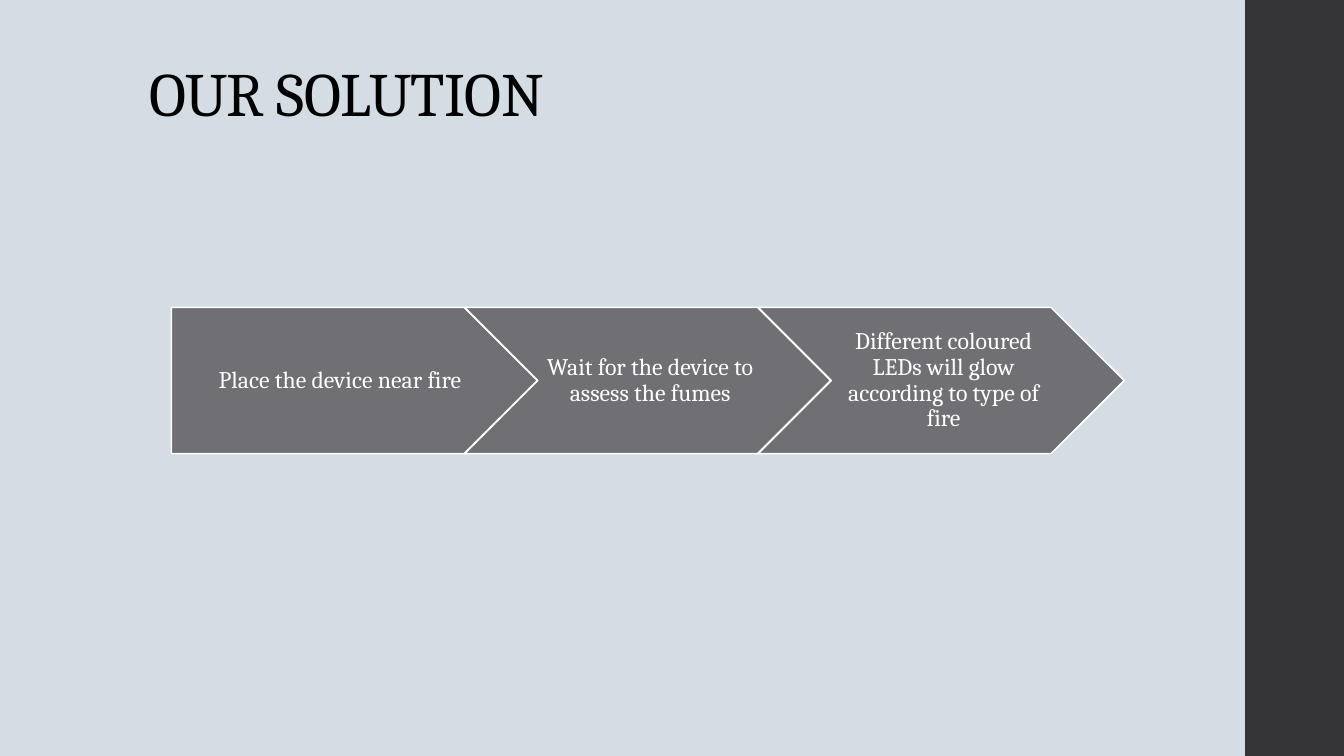
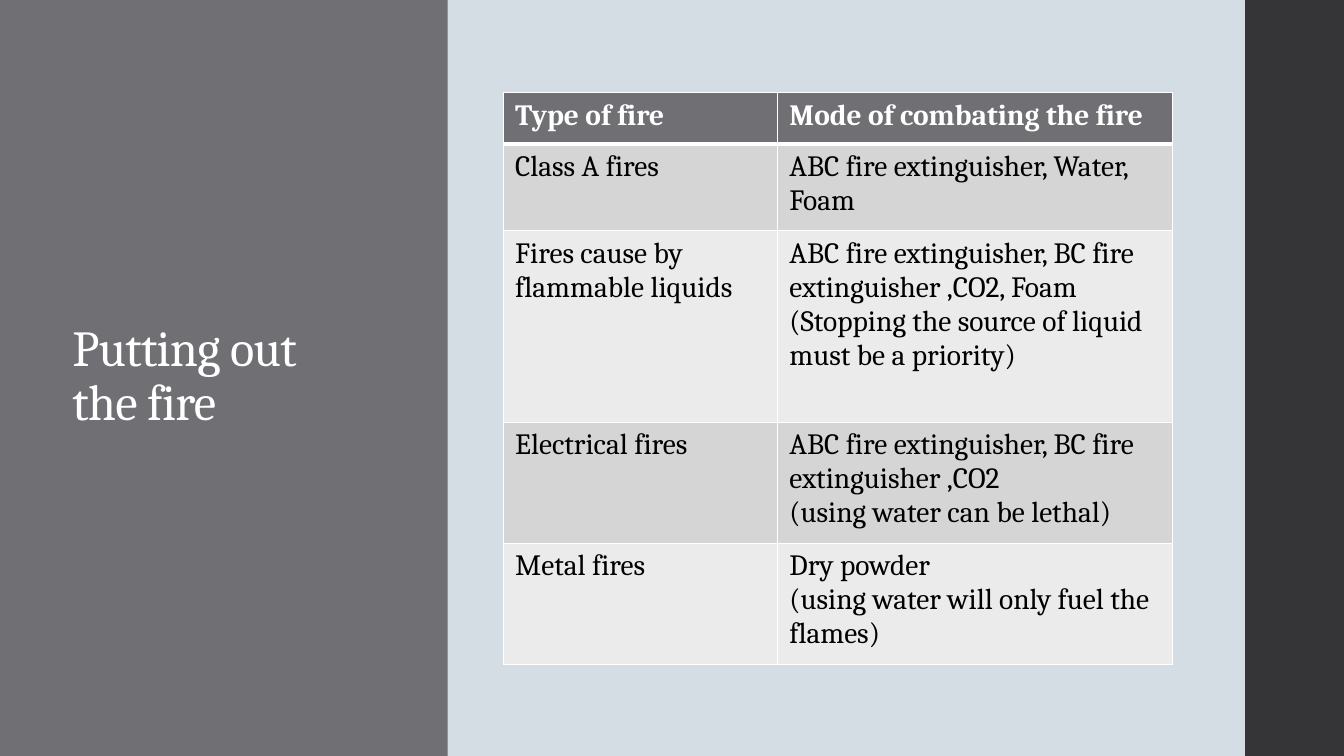
from lxml import etree
from pptx import Presentation
from pptx import util as u
from pptx.dml.color import RGBColor
from pptx.enum import shapes, text
from pptx.oxml import ns

PAPER = RGBColor(0xD3, 0xDD, 0xE3)
BAND = RGBColor(0x35, 0x35, 0x37)
SLATE = RGBColor(0x6F, 0x6F, 0x74)
DARK_ROW = RGBColor(0xD5, 0xD5, 0xD6)
LIGHT_ROW = RGBColor(0xEB, 0xEB, 0xEB)
WHITE = RGBColor(0xFF, 0xFF, 0xFF)
BLACK = RGBColor(0, 0, 0)
FONT = "Cambria"
WIDTH, HEIGHT = 1333, 750

STEPS = [
    "Place the device near fire",
    "Wait for the device to assess the fumes",
    "Different coloured LEDs will glow according to type of fire",
]
STEP_LEFT, STEP_TOP, STEP_WIDTH, STEP_HEIGHT = 170, 305, 363, 145
STEP_PITCH = STEP_WIDTH - STEP_HEIGHT // 2

FIRES = [
    ("Type of fire", "Mode of combating the fire"),
    ("Class A fires", "ABC fire extinguisher, Water, Foam"),
    ("Fires cause by flammable liquids",
     "ABC fire extinguisher, BC fire extinguisher ,CO2, Foam\n"
     "(Stopping the source of liquid must be a priority)"),
    ("Electrical fires",
     "ABC fire extinguisher, BC fire extinguisher ,CO2\n"
     "(using water can be lethal)"),
    ("Metal fires",
     "Dry powder\n(using water will only fuel the flames)"),
]
COLUMN_WIDTHS = [272, 392]
ROW_HEIGHTS = [51, 86, 190, 120, 120]


def px(length):
    return u.Emu(length * 9144)


def box(*lengths):
    return [px(length) for length in lengths]


def set_insets(target, left, top, right, bottom):
    target.margin_left, target.margin_top = px(left), px(top)
    target.margin_right, target.margin_bottom = px(right), px(bottom)


def format_text(frame, size, color, bold=False, spacing=None, line_spacing=None, align=None):
    for paragraph in frame.paragraphs:
        paragraph.alignment = align
        paragraph.line_spacing = line_spacing
        for run in paragraph.runs:
            font = run.font
            font.name, font.size, font.bold = FONT, u.Pt(size), bold
            font.color.rgb = color
            if spacing is not None:
                run._r.get_or_add_rPr().set("spc", str(spacing))


def add_block(slide, preset, bounds, fill, line=None):
    block = slide.shapes.add_shape(preset, *box(*bounds))
    block.shadow.inherit = False
    block.fill.solid()
    block.fill.fore_color.rgb = fill
    if line is None:
        block.line.fill.background()
    else:
        block.line.color.rgb = line
        block.line.width = u.Pt(1.1)
    return block


def add_title(slide, wording, bounds, size, color, anchor):
    frame = slide.shapes.add_textbox(*box(*bounds)).text_frame
    frame.word_wrap = True
    frame.vertical_anchor = anchor
    frame.text = wording
    format_text(frame, size, color, spacing=-50, line_spacing=0.9)


def add_base_slide(deck):
    slide = deck.slides.add_slide(deck.slide_layouts[6])
    slide.background.fill.solid()
    slide.background.fill.fore_color.rgb = PAPER
    add_block(slide, shapes.MSO_SHAPE.RECTANGLE, (1235, 0, WIDTH - 1235, HEIGHT), BAND)
    return slide


def set_borders(cell, top, bottom):
    properties = cell._tc.get_or_add_tcPr()
    for index, (side, width) in enumerate(zip("LRTB", (1, 1, top, bottom))):
        edge = etree.Element(ns.qn("a:ln" + side), w=str(u.Pt(width)))
        fill = etree.SubElement(edge, ns.qn("a:solidFill"))
        etree.SubElement(fill, ns.qn("a:srgbClr"), val=str(WHITE))
        properties.insert(index, edge)


def build_solution(deck):
    slide = add_base_slide(deck)
    add_title(slide, "OUR SOLUTION", (138, 40, 1060, 94), 44, BLACK, text.MSO_ANCHOR.BOTTOM)
    for index, wording in enumerate(STEPS):
        preset = shapes.MSO_SHAPE.CHEVRON if index else shapes.MSO_SHAPE.PENTAGON
        left = STEP_LEFT + index * STEP_PITCH
        step = add_block(slide, preset, (left, STEP_TOP, STEP_WIDTH, STEP_HEIGHT), SLATE, WHITE)
        frame = step.text_frame
        frame.word_wrap = True
        frame.vertical_anchor = text.MSO_ANCHOR.MIDDLE
        set_insets(frame, 7 if index else 10, 5, 2, 5)
        frame.text = wording
        format_text(frame, 17, WHITE, line_spacing=0.9, align=text.PP_ALIGN.CENTER)


def build_fires(deck):
    slide = add_base_slide(deck)
    add_block(slide, shapes.MSO_SHAPE.RECTANGLE, (0, 0, 444, HEIGHT), SLATE)
    add_title(slide, "Putting out the fire", (62, 91, 297, 567), 36, WHITE, text.MSO_ANCHOR.MIDDLE)
    bounds = box(499, 92, sum(COLUMN_WIDTHS), sum(ROW_HEIGHTS))
    table = slide.shapes.add_table(len(FIRES), len(COLUMN_WIDTHS), *bounds).table
    table.horz_banding = False
    for column, width in zip(table.columns, COLUMN_WIDTHS):
        column.width = px(width)
    for index, (row, height, entries) in enumerate(zip(table.rows, ROW_HEIGHTS, FIRES)):
        row.height = px(height)
        header = index == 0
        fill = SLATE if header else DARK_ROW if index % 2 else LIGHT_ROW
        for cell, wording in zip(row.cells, entries):
            cell.text_frame.text = wording
            set_insets(cell, 12, 6, 12, 6)
            cell.fill.solid()
            cell.fill.fore_color.rgb = fill
            set_borders(cell, top=3 if index == 1 else 1, bottom=3 if header else 1)
            format_text(cell.text_frame, 21, WHITE if header else BLACK, bold=header)


def main():
    deck = Presentation()
    deck.slide_width, deck.slide_height = box(WIDTH, HEIGHT)
    build_solution(deck)
    build_fires(deck)
    deck.save("out.pptx")


if __name__ == "__main__":
    main()
